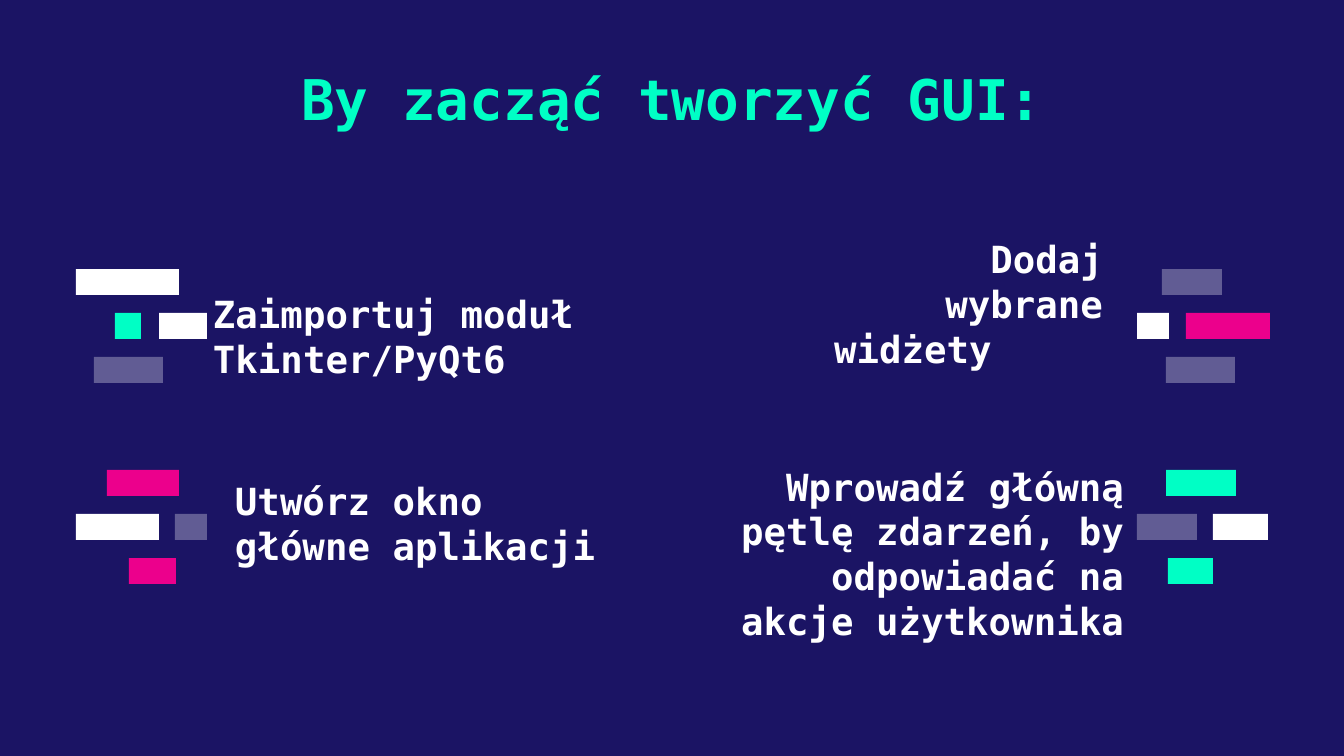
from pptx import Presentation
from pptx.dml.color import RGBColor
from pptx.enum.shapes import MSO_SHAPE
from pptx.enum.text import MSO_ANCHOR, PP_ALIGN
from pptx.oxml.ns import qn
from pptx.util import Emu, Pt
from lxml import etree

RECTANGLE = MSO_SHAPE.RECTANGLE
LEFT, CENTER, RIGHT = PP_ALIGN.LEFT, PP_ALIGN.CENTER, PP_ALIGN.RIGHT
TOP, BOTTOM = MSO_ANCHOR.TOP, MSO_ANCHOR.BOTTOM
PX_PER_INCH = 134.4
TITLE_ONLY = 5
FONT = "DejaVu Sans Mono"
NAVY, WHITE, MINT, PINK = "1B1464", "FFFFFF", "00FFC5", "EC008C"
FAINT = 31
INSET = 13
LINE_HEIGHT = 45
BAR_HEIGHT = 26
ROW_PITCH = 44
UPPER, LOWER = 269, 470

BAR_CLUSTERS = [
    (UPPER, [[(76, 103, WHITE, 100)],
             [(115, 26, MINT, 100), (159, 48, WHITE, 100)],
             [(94, 69, WHITE, FAINT)]]),
    (UPPER, [[(1162, 60, WHITE, FAINT)],
             [(1137, 32, WHITE, 100), (1186, 84, PINK, 100)],
             [(1166, 69, WHITE, FAINT)]]),
    (LOWER, [[(107, 72, PINK, 100)],
             [(76, 83, WHITE, 100), (175, 32, WHITE, FAINT)],
             [(129, 47, PINK, 100)]]),
    (LOWER, [[(1166, 70, MINT, 100)],
             [(1137, 60, WHITE, FAINT), (1213, 55, WHITE, 100)],
             [(1168, 45, MINT, 100)]]),
]

STEPS = [
    ((200, 321, 398, 60), 0, [("Zaimportuj moduł Tkinter/PyQt6", LEFT, 0)]),
    ((799, 364, 317, 52), LINE_HEIGHT,
     [("Dodaj wybrane", RIGHT, 0), ("widżety", LEFT, 22)]),
    ((222, 512, 418, 56), 0, [("Utwórz okno główne aplikacji", LEFT, 0)]),
    ((688, 591, 449, 52), 0,
     [("Wprowadź główną pętlę zdarzeń, by odpowiadać na akcje użytkownika", RIGHT, 0)]),
]


def px(length):
    """Turn px into EMU."""
    return Emu(round(length * 914400 / PX_PER_INCH))


def color(hex_value):
    """Turn a hex string into a colour."""
    return RGBColor.from_string(hex_value)


def apply_format(target, values):
    """Set each attribute named in the format values."""
    for name, value in values.items():
        setattr(target, name, value)


def write_text(frame, paragraphs, size, hex_value, anchor, top_inset, bottom_inset):
    """Fill a text frame with (wording, alignment, indent) paragraphs."""
    apply_format(frame, {
        "word_wrap": True, "vertical_anchor": anchor,
        "margin_left": px(INSET), "margin_right": px(INSET),
        "margin_top": px(top_inset), "margin_bottom": px(bottom_inset),
    })
    for index, (wording, alignment, indent) in enumerate(paragraphs):
        paragraph = frame.add_paragraph() if index else frame.paragraphs[0]
        paragraph.alignment = alignment
        if indent:
            paragraph._p.get_or_add_pPr().set("marL", str(px(indent)))
        run = paragraph.add_run()
        run.text = wording
        apply_format(run.font, {"name": FONT, "size": Pt(size), "bold": True})
        run.font.color.rgb = color(hex_value)


def add_title(slide, box, wording):
    """Place and format the slide title."""
    title = slide.shapes.title
    apply_format(title, dict(zip(("left", "top", "width", "height"), map(px, box))))
    write_text(title.text_frame, [(wording, CENTER, 0)], 30, MINT, TOP, INSET, INSET)


def add_step(slide, box, bottom_inset, paragraphs):
    """Add the wording of one step, growing upwards from its bottom edge."""
    step = slide.shapes.add_textbox(*map(px, box))
    write_text(step.text_frame, paragraphs, 20, WHITE, BOTTOM, 0, bottom_inset)


def add_bar(slide, left, top, width, hex_value, opacity):
    """Add one decorative bar with an opacity in percent."""
    bar = slide.shapes.add_shape(RECTANGLE, px(left), px(top), px(width), px(BAR_HEIGHT))
    bar.shadow.inherit = False
    bar.line.fill.background()
    bar.fill.solid()
    bar.fill.fore_color.rgb = color(hex_value)
    if opacity < 100:
        tint = bar._element.spPr.find(qn("a:solidFill")).find(qn("a:srgbClr"))
        etree.SubElement(tint, qn("a:alpha")).set("val", str(opacity * 1000))


def add_cluster(slide, top, rows):
    """Add three evenly spaced rows of bars."""
    for index, bars in enumerate(rows):
        for left, width, hex_value, opacity in bars:
            add_bar(slide, left, top + index * ROW_PITCH, width, hex_value, opacity)


def main():
    """Build and save the slide."""
    deck = Presentation()
    apply_format(deck, {"slide_width": px(1344), "slide_height": px(756)})
    slide = deck.slides.add_slide(deck.slide_layouts[TITLE_ONLY])
    background = slide.background.fill
    background.solid()
    background.fore_color.rgb = color(NAVY)
    add_title(slide, (188, 51, 968, 98), "By zacząć tworzyć GUI:")
    for box, bottom_inset, paragraphs in STEPS:
        add_step(slide, box, bottom_inset, paragraphs)
    for top, rows in BAR_CLUSTERS:
        add_cluster(slide, top, rows)
    deck.save("out.pptx")


if __name__ == "__main__":
    main()
